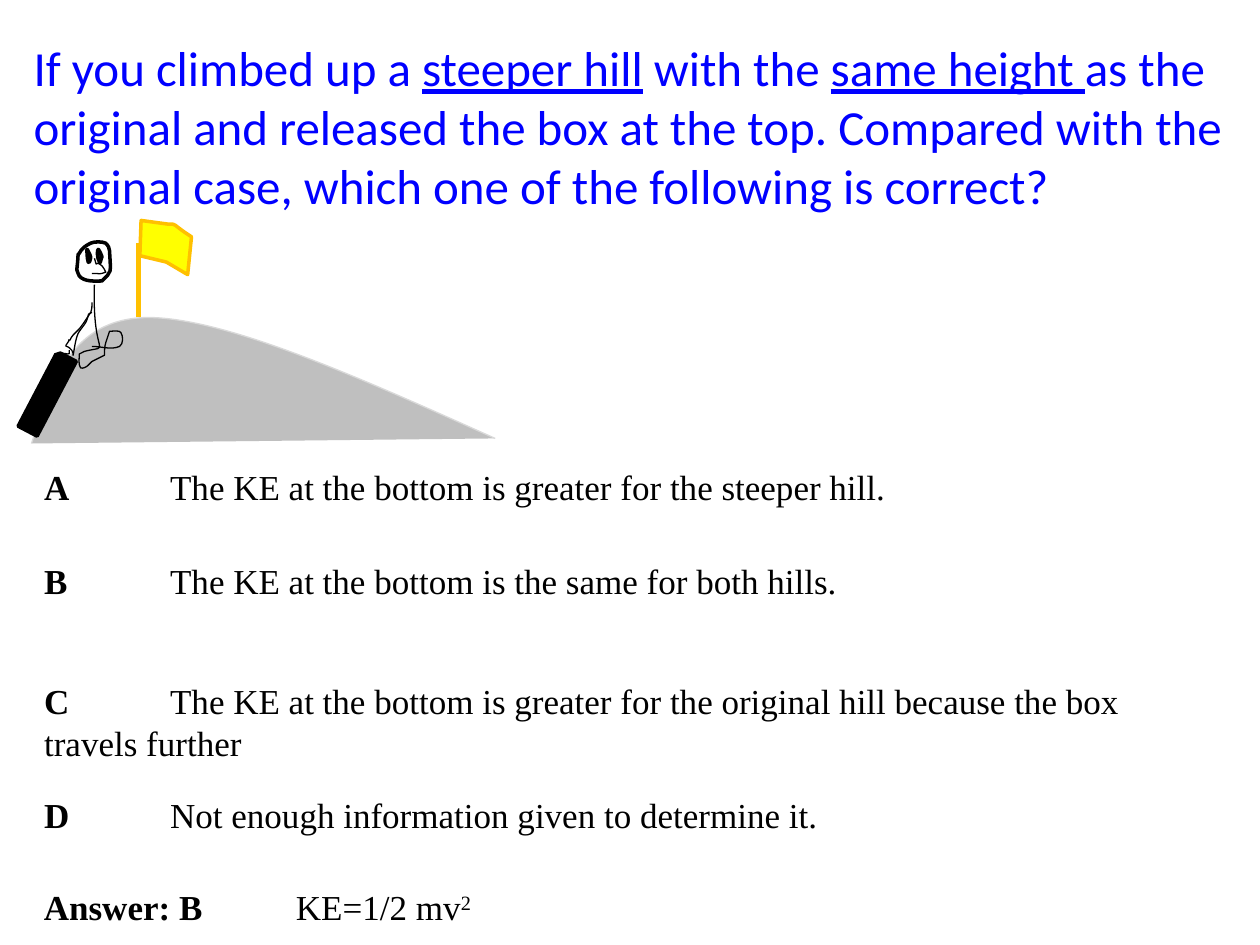
import dataclasses

import pptx
import pptx.dml.color
import pptx.enum.shapes
import pptx.enum.text
import pptx.oxml.ns
import pptx.util
from lxml import etree

Pt = pptx.util.Pt
qn = pptx.oxml.ns.qn


def rgb(code):
    return pptx.dml.color.RGBColor.from_string(code)


@dataclasses.dataclass(frozen=True)
class Theme:
    question: str = "0000FF"
    ink: str = "000000"
    paper: str = "FFFFFF"
    pole: str = "FFC000"
    flag: str = "FFFF00"
    hill: str = "BFBFBF"
    hill_edge: str = "D9D9D9"
    eye: str = "4F81BD"
    question_font: str = "Calibri"
    option_font: str = "Times New Roman"
    question_size: int = 28
    option_size: int = 20
    thin: float = 0.75
    bold: float = 2
    thick: float = 3


THEME = Theme()
UNIT = 0.72         # points per step of the sketch grid
LINE_PITCH = 24     # points from one option line to the next
TAB_WIDTH = 72      # points between tab stops

QUESTION = [
    ("If you climbed up a ", False),
    ("steeper hill", True),
    (" with the ", False),
    ("same height ", True),
    ("as the original and released the box at the top. Compared with the "
     "original case, which one of the following is correct?", False),
]

# Label, wording, space before in points
OPTIONS = [
    ("A \t", "The KE at the bottom is greater for the steeper hill.", 0),
    ("B", " \tThe KE at the bottom is the same for both hills.", 29.5),
    ("C \t", "The KE at the bottom is greater for the original hill because "
     "the box travels further", 44.4),
    ("D \t", "Not enough information given to determine it.", 17.5),
]

# Outlines in grid steps: a start, then lines (x, y) or curves (two controls, end)
FLAG = [(111, 203), (132, 208), (149, 218), (152, 188),
        (135, 177, 141, 178, 134, 178), (112, 175)]
HILL = [(25, 352), (41, 303, 56, 253, 117, 252), (179, 252, 286, 300, 393, 348)]
HEAD = [(63, 201), (65, 197, 68, 195, 72, 193), (74, 192, 76, 192, 78, 192),
        (80, 192, 82, 192, 84, 193), (86, 195, 87, 197, 87, 199),
        (88, 218, 89, 215, 81, 223), (76, 223, 67, 224, 63, 219),
        (62, 218, 62, 216, 61, 214), (63, 197, 61, 204, 63, 201)]
BODY_AND_LEGS = [
    (75, 226), (73, 287, 90, 273, 67, 279), (66, 280, 64, 280, 63, 281),
    (63, 285, 62, 289, 64, 292), (66, 293, 69, 291, 70, 290),
    (72, 289, 72, 288, 73, 287), (78, 284, 78, 284, 83, 282),
    (83, 279, 83, 275, 84, 272), (85, 269, 87, 263, 87, 263),
    (90, 263, 95, 262, 96, 264), (98, 267, 98, 273, 95, 275),
    (88, 278, 81, 275, 73, 275)]
UPPER_ARM = [(73, 240), (73, 243, 73, 245, 72, 248), (70, 251, 68, 254, 66, 257),
             (65, 258, 64, 260, 63, 261), (61, 263, 60, 264, 58, 266),
             (54, 271, 57, 270, 54, 270)]
LOWER_ARM = [(55, 270), (50, 278, 52, 272, 57, 278), (58, 279, 58, 281, 58, 282),
             (59, 278, 60, 267, 63, 263), (65, 260, 68, 257, 69, 254),
             (71, 248, 69, 250, 73, 248)]
BOX_HANDLE = [(43, 281), (56, 279, 55, 284, 55, 278)]
NOSE = [(75, 205), (78, 215, 74, 205, 81, 211), (82, 212, 83, 214, 84, 216),
        (78, 218, 81, 217, 73, 217)]
LEFT_EYE = [(69, 198), (69, 198, 69, 205, 70, 208), (71, 210, 72, 205, 72, 204),
            (72, 203, 69, 197, 69, 198)]
RIGHT_EYE = [(78, 198), (77, 198, 77, 205, 79, 208), (80, 210, 80, 205, 81, 204),
             (81, 203, 78, 197, 78, 198)]


def place(shape, left, top, width, height):
    shape.left, shape.top = Pt(left), Pt(top)
    shape.width, shape.height = Pt(width), Pt(height)


def style_run(run, font, size, color):
    run.font.name, run.font.size = font, Pt(size)
    run.font.color.rgb = rgb(color)


def prepare_frame(frame):
    frame.word_wrap = True
    frame.auto_size = pptx.enum.text.MSO_AUTO_SIZE.NONE
    frame.vertical_anchor = pptx.enum.text.MSO_ANCHOR.TOP


def write_question(title):
    place(title, 12, 18, 702, 108.72)
    prepare_frame(title.text_frame)
    paragraph = title.text_frame.paragraphs[0]
    paragraph.alignment = pptx.enum.text.PP_ALIGN.LEFT
    for wording, underlined in QUESTION:
        run = paragraph.add_run()
        run.text = wording
        style_run(run, THEME.question_font, THEME.question_size, THEME.question)
        run.font.underline = underlined


def write_labelled(paragraph, label, wording, space_before=0):
    """A bold label, a tab and plain wording, without a bullet."""
    paragraph.alignment = pptx.enum.text.PP_ALIGN.LEFT
    paragraph.line_spacing = Pt(LINE_PITCH)
    paragraph.space_before = Pt(space_before)
    for part, bold in ((label, True), (wording, False)):
        run = paragraph.add_run()
        run.text = part
        style_run(run, THEME.option_font, THEME.option_size, THEME.ink)
        run.font.bold = bold

    # Bullet, indent and tab width
    properties = paragraph._p.get_or_add_pPr()
    for name, length in (("marL", 0), ("indent", 0), ("defTabSz", TAB_WIDTH)):
        properties.set(name, str(Pt(length)))
    etree.SubElement(properties, qn("a:buNone"))


def write_options(body):
    place(body, 18, 262.5, 684, 220)
    prepare_frame(body.text_frame)
    for index, (label, wording, gap) in enumerate(OPTIONS):
        frame = body.text_frame
        paragraph = frame.add_paragraph() if index else frame.paragraphs[0]
        write_labelled(paragraph, label, wording, gap)


def write_answer(slide):
    answer = slide.shapes.add_textbox(Pt(18), Pt(502.56), Pt(720), Pt(31.68))
    prepare_frame(answer.text_frame)
    paragraph = answer.text_frame.paragraphs[0]
    write_labelled(paragraph, "Answer: B\t", "KE=1/2 mv")
    exponent = paragraph.add_run()
    exponent.text = "2"
    style_run(exponent, THEME.option_font, THEME.option_size, THEME.ink)
    exponent.font._element.set("baseline", "30000")


def paint(shape, fill, line, weight):
    shape.shadow.inherit = False
    if fill:
        shape.fill.solid()
        shape.fill.fore_color.rgb = rgb(fill)
    else:
        shape.fill.background()
    shape.line.color.rgb = rgb(line)
    shape.line.width = Pt(weight)


def draw_outline(slide, outline, fill=None, line=THEME.ink, weight=THEME.thin, close=False):
    corners = [(Pt(step[-2] * UNIT), Pt(step[-1] * UNIT)) for step in outline]
    builder = slide.shapes.build_freeform(*corners[0])
    builder.add_line_segments(corners[1:], close=close)
    figure = builder.convert_to_shape()

    # Turn the straight segments with control points into curves
    segments = list(figure._element.iter(qn("a:lnTo")))
    for segment, step in zip(segments, outline[1:]):
        if len(step) == 6:
            segment.tag = qn("a:cubicBezTo")
            for index in (0, 1):
                x, y = step[2 * index:2 * index + 2]
                control = etree.Element(qn("a:pt"), x=str(Pt(x * UNIT) - figure.left),
                                        y=str(Pt(y * UNIT) - figure.top))
                segment.insert(index, control)
    paint(figure, fill, line, weight)


def draw_pole(slide):
    pole = slide.shapes.add_connector(
        pptx.enum.shapes.MSO_CONNECTOR.STRAIGHT, Pt(79.2), Pt(181.44), Pt(79.2), Pt(138.96))
    pole.line.color.rgb = rgb(THEME.pole)
    pole.line.width = Pt(THEME.thick)
    etree.SubElement(pole._element.spPr, qn("a:effectLst"))


def draw_box(slide):
    box = slide.shapes.add_shape(pptx.enum.shapes.MSO_SHAPE.SNIP_1_RECTANGLE,
                                 Pt(2.88), Pt(218.88), Pt(48.24), Pt(12.24))
    box.rotation = 297.7
    paint(box, THEME.ink, THEME.ink, THEME.bold)


def draw_climber(slide):
    draw_outline(slide, HEAD, THEME.paper, weight=THEME.bold, close=True)
    for stroke in (BODY_AND_LEGS, UPPER_ARM, LOWER_ARM, BOX_HANDLE, NOSE):
        draw_outline(slide, stroke)
    for eye in (LEFT_EYE, RIGHT_EYE):
        draw_outline(slide, eye, THEME.eye, weight=THEME.bold, close=True)


def main():
    deck = pptx.Presentation()
    deck.slide_width, deck.slide_height = Pt(720), Pt(540)
    slide = deck.slides.add_slide(deck.slide_layouts[1])

    # Question and answers
    write_question(slide.shapes.title)
    write_options(slide.placeholders[1])
    write_answer(slide)

    # Hill scene, from back to front
    draw_pole(slide)
    draw_outline(slide, FLAG, THEME.flag, THEME.pole, THEME.bold, close=True)
    draw_outline(slide, HILL, THEME.hill, THEME.hill_edge)
    draw_box(slide)
    draw_climber(slide)

    deck.save("out.pptx")


if __name__ == "__main__":
    main()
